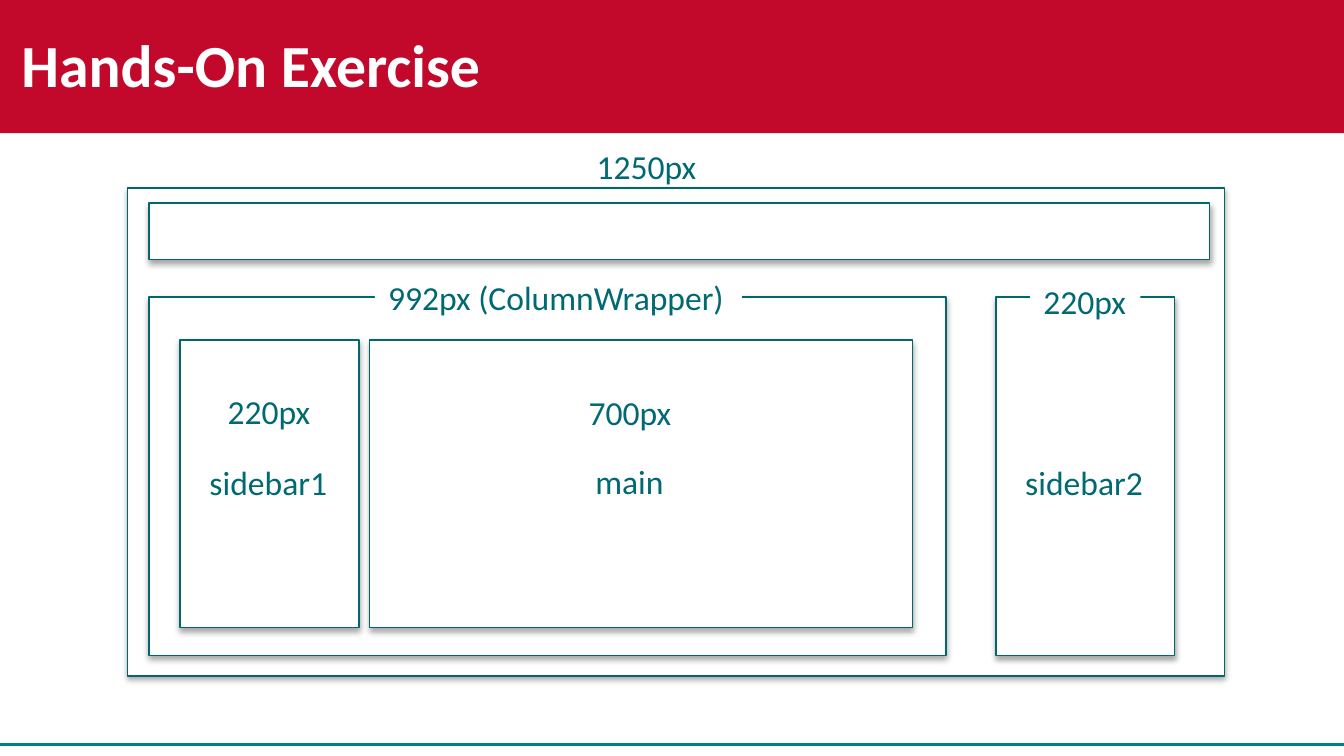
from lxml.etree import SubElement
from pptx import Presentation
from pptx.dml.color import RGBColor
from pptx.enum.shapes import MSO_CONNECTOR as Connector, MSO_SHAPE as Preset
from pptx.enum.text import MSO_ANCHOR as Anchor, PP_ALIGN as Align
from pptx.oxml.ns import qn
from pptx.util import Pt

COLORS = {
    "band": "C3092B",
    "rule": "008088",
    "frame": "00676F",
    "label": "006971",
    "white": "FFFFFF",
    "shadow": "000000",
}
SLIDE_WIDTH, SLIDE_HEIGHT = 720, 405
BAND_HEIGHT = 71.3
RULE_TOP = 398.9
LABEL_HEIGHT = 28.8
COLUMN_TOP, COLUMN_HEIGHT = 159.1, 192.2
INNER_TOP, INNER_HEIGHT = 182.2, 154.1
SIDEBAR_WIDTH = 95.8
SIDEBAR1_LEFT, SIDEBAR2_LEFT = 96.5, 533.5
SIDEBAR1_CENTER = SIDEBAR1_LEFT + SIDEBAR_WIDTH / 2
SIDEBAR2_CENTER = SIDEBAR2_LEFT + SIDEBAR_WIDTH / 2
MAIN_CENTER = 337.7

FRAMES = [
    (68.4, 100.8, 587.5, 261.4),
    (79.9, 108.7, 568.1, 30.2),
    (79.9, COLUMN_TOP, 427, COLUMN_HEIGHT),
    (198, INNER_TOP, 290.9, INNER_HEIGHT),
    (SIDEBAR1_LEFT, INNER_TOP, SIDEBAR_WIDTH, INNER_HEIGHT),
    (SIDEBAR2_LEFT, COLUMN_TOP, SIDEBAR_WIDTH, COLUMN_HEIGHT),
]
LABELS = [
    ("1250px", 346.7, 74.9, 68.4, False),
    ("992px (ColumnWrapper)", 299.2, 144.7, 196.6, True),
    ("220px", SIDEBAR2_CENTER, 146.9, 59, True),
    ("sidebar1", SIDEBAR1_CENTER, 244.1, 78.5, True),
    ("sidebar2", SIDEBAR2_CENTER, 244.1, 78.5, True),
    ("main", MAIN_CENTER, 243.4, 51.8, True),
    ("220px", SIDEBAR1_CENTER, 205.9, 59, True),
    ("700px", MAIN_CENTER, 206.6, 59, True),
]


def color(name):
    return RGBColor.from_string(COLORS[name])


def paint(shape, name):
    shape.fill.solid()
    shape.fill.fore_color.rgb = color(name)


def style_text(paragraph, size, name, bold=False):
    font = paragraph.runs[0].font
    font.name = "Calibri"
    font.size = Pt(size)
    font.bold = bold
    font.color.rgb = color(name)


def add_band(slide):
    band = slide.shapes.add_shape(
        Preset.RECTANGLE, Pt(0), Pt(0), Pt(SLIDE_WIDTH), Pt(BAND_HEIGHT))
    band.shadow.inherit = False
    paint(band, "band")
    band.line.fill.background()
    slide.shapes._spTree.insert(2, band._element)


def add_rule(slide):
    rule = slide.shapes.add_connector(
        Connector.STRAIGHT, Pt(0), Pt(RULE_TOP), Pt(SLIDE_WIDTH), Pt(RULE_TOP))
    rule.line.color.rgb = color("rule")
    rule.line.width = Pt(1.5)
    SubElement(rule._element.spPr, qn("a:effectLst"))


def set_title(slide, wording):
    title = slide.shapes.title
    title.left, title.top = Pt(11.5), Pt(14.4)
    title.width, title.height = Pt(576), Pt(38.9)
    frame = title.text_frame
    frame.text = wording
    frame.margin_left = frame.margin_right = Pt(0)
    frame.margin_top = frame.margin_bottom = Pt(0)
    frame.vertical_anchor = Anchor.MIDDLE
    frame.paragraphs[0].alignment = Align.LEFT
    style_text(frame.paragraphs[0], 32, "white", bold=True)


def add_drop_shadow(shape):
    shape.shadow.inherit = False
    effects = shape._element.spPr.find(qn("a:effectLst"))
    shadow = SubElement(
        effects, qn("a:outerShdw"), blurRad=str(Pt(3.1)), dist=str(Pt(1.8)),
        dir="5400000", rotWithShape="0")
    tint = SubElement(shadow, qn("a:srgbClr"), val=COLORS["shadow"])
    SubElement(tint, qn("a:alpha"), val="35000")


def add_frame(slide, left, top, width, height):
    frame = slide.shapes.add_shape(
        Preset.RECTANGLE, Pt(left), Pt(top), Pt(width), Pt(height))
    paint(frame, "white")
    frame.line.color.rgb = color("frame")
    frame.line.width = Pt(0.75)
    add_drop_shadow(frame)


def add_label(slide, wording, center, top, width, filled):
    label = slide.shapes.add_textbox(
        Pt(center - width / 2), Pt(top), Pt(width), Pt(LABEL_HEIGHT))
    if filled:
        paint(label, "white")
    label.text_frame.word_wrap = False
    label.text_frame.text = wording
    style_text(label.text_frame.paragraphs[0], 18, "label")


def main():
    deck = Presentation()
    deck.slide_width, deck.slide_height = Pt(SLIDE_WIDTH), Pt(SLIDE_HEIGHT)
    slide = deck.slides.add_slide(deck.slide_layouts.get_by_name("Title Only"))
    add_band(slide)
    add_rule(slide)
    set_title(slide, "Hands-On Exercise")
    for frame in FRAMES:
        add_frame(slide, *frame)
    for label in LABELS:
        add_label(slide, *label)
    deck.save("out.pptx")


if __name__ == "__main__":
    main()
